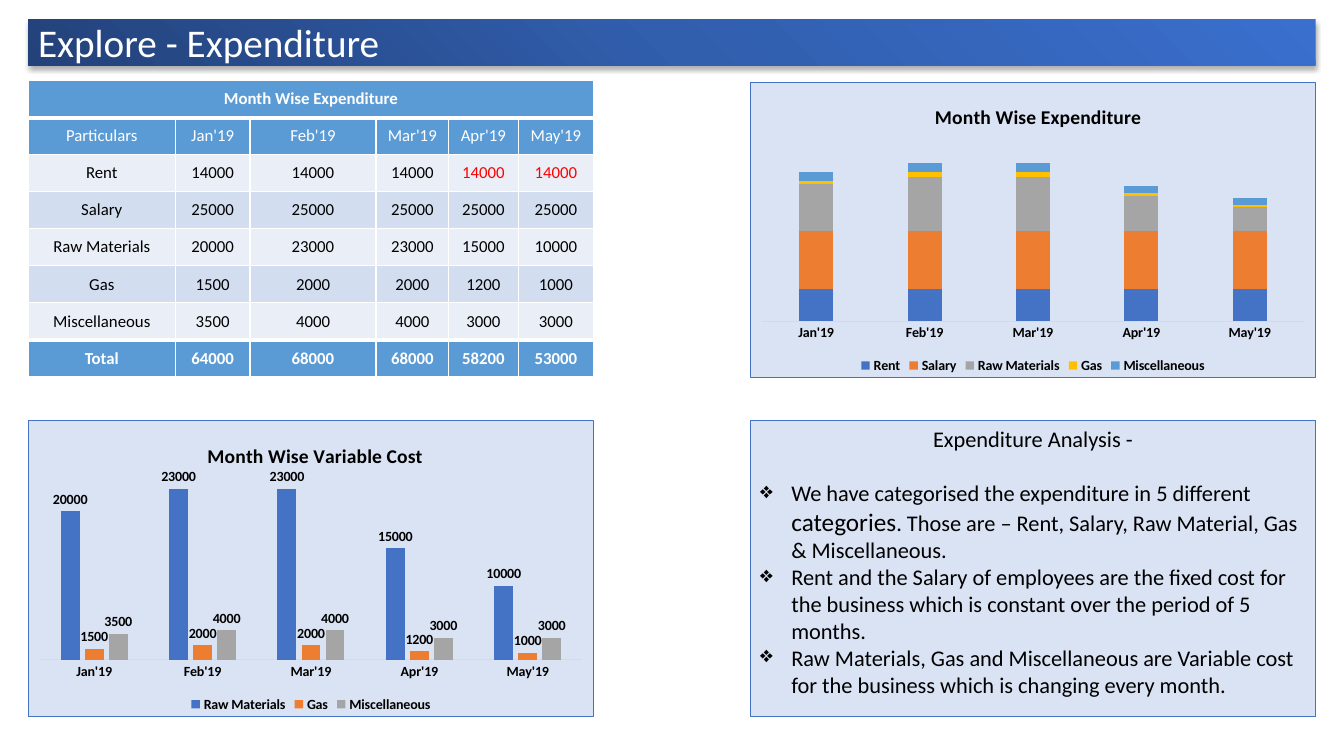
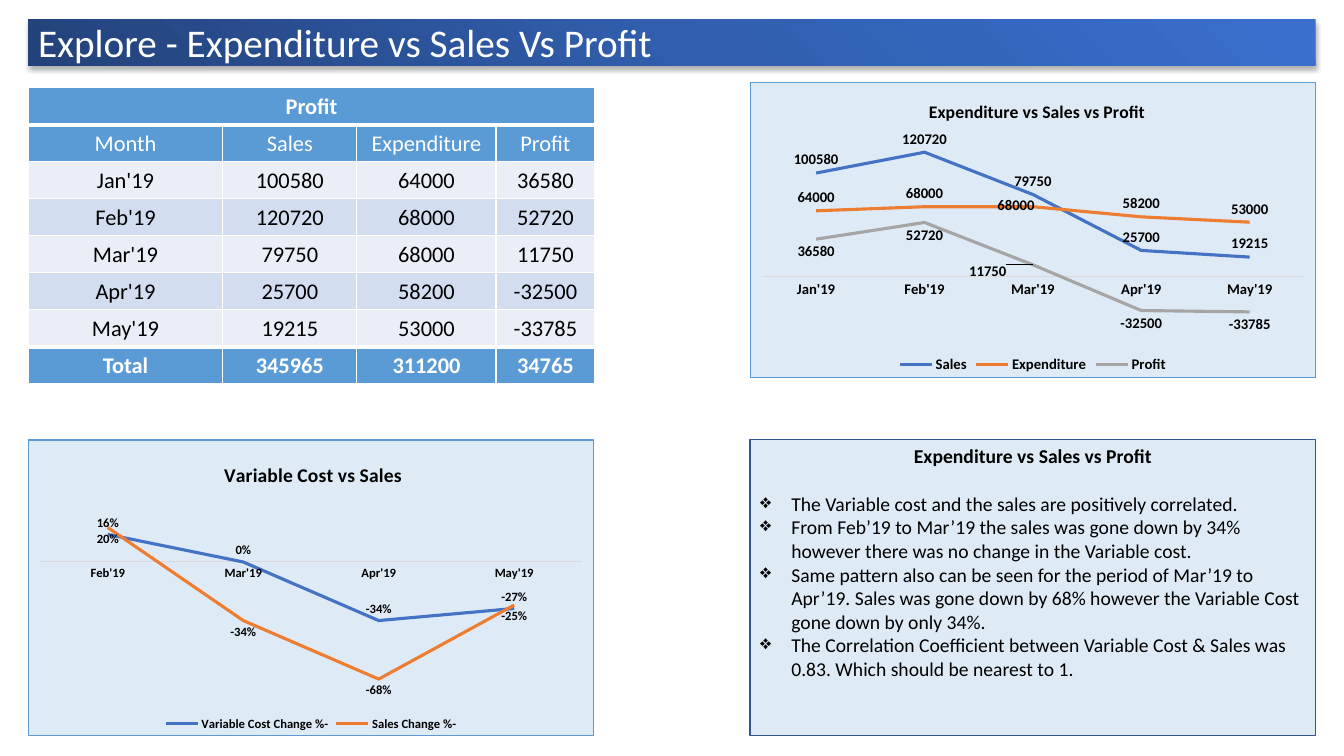
"""Build two slides that explore expenditure, sales and profit."""
from dataclasses import dataclass

from pptx import Presentation
from pptx.chart.data import CategoryChartData
from pptx.dml.color import RGBColor
from pptx.enum.chart import (XL_CHART_TYPE, XL_LABEL_POSITION,
                             XL_LEGEND_POSITION, XL_MARKER_STYLE, XL_TICK_MARK)
from pptx.enum.shapes import MSO_SHAPE
from pptx.enum.text import MSO_ANCHOR, PP_ALIGN
from pptx.oxml import parse_xml
from pptx.oxml.ns import nsdecls
from pptx.util import Inches, Pt

STACK, GROUP, LINE = (XL_CHART_TYPE.COLUMN_STACKED,
                      XL_CHART_TYPE.COLUMN_CLUSTERED, XL_CHART_TYPE.LINE)
TOP, LOW, OUT = (XL_LABEL_POSITION.ABOVE, XL_LABEL_POSITION.BELOW,
                 XL_LABEL_POSITION.OUTSIDE_END)
BOTTOM, PLAIN, BARE = (XL_LEGEND_POSITION.BOTTOM, XL_MARKER_STYLE.NONE,
                       XL_TICK_MARK.NONE)
RECT, MIDDLE, UPPER = MSO_SHAPE.RECTANGLE, MSO_ANCHOR.MIDDLE, MSO_ANCHOR.TOP
LEFT, CENTER = PP_ALIGN.LEFT, PP_ALIGN.CENTER


@dataclass(frozen=True)
class Theme:
    font: str = "Calibri"
    white: str = "FFFFFF"
    black: str = "000000"
    red: str = "FF0000"
    head: str = "5B9BD5"
    bands: tuple = ("EAEFF7", "D2DEEF")
    lines: tuple = ("4472C4", "ED7D31", "A5A5A5", "FFC000", "5B9BD5")
    axis: str = "D9D9D9"
    fade: tuple = ((0, "23427A"), (50, "315EAD"), (100, "3A6FCE"))
    title: int = 28
    wide: float = 5.61
    high: float = 2.94
    near: float = 0.28
    far: float = 7.44


T = Theme()


def ink(font, size, color=T.black, bold=False):
    font.name, font.size, font.bold = T.font, Pt(size), bold
    font.color.rgb = RGBColor.from_string(color)


def place(host, at, x, y, size=None):
    for old in host.findall("{*}layout"):
        host.remove(old)
    tags = [("x", x), ("y", y)]
    modes = ""
    if size:
        tags += zip("wh", size)
        modes = '<c:layoutTarget val="inner"/>'
    if host.tag.endswith(("plotArea", "title")):
        modes += '<c:xMode val="edge"/><c:yMode val="edge"/>'
    spots = "".join(f'<c:{k} val="{v}"/>' for k, v in tags)
    host.insert(at, parse_xml(f'<c:layout {nsdecls("c")}><c:manualLayout>{modes}'
                              f'{spots}</c:manualLayout></c:layout>'))


months = ["Jan'19", "Feb'19", "Mar'19", "Apr'19", "May'19"]
costs = {
    "Rent": [14000] * 5,
    "Salary": [25000] * 5,
    "Raw Materials": [20000, 23000, 23000, 15000, 10000],
    "Gas": [1500, 2000, 2000, 1200, 1000],
    "Miscellaneous": [3500, 4000, 4000, 3000, 3000],
}
spent = [sum(col) for col in zip(*costs.values())]
sales = [100580, 120720, 79750, 25700, 19215]
gains = {"Sales": sales, "Expenditure": spent,
         "Profit": [s - e for s, e in zip(sales, spent)]}
moves = {"Variable Cost Change %-": [0.16, 0, -0.34, -0.27],
         "Sales Change %-": [0.2, -0.34, -0.68, -0.25]}

pages = [
    dict(
        title="Explore - Expenditure", fill="DAE3F3", edge="4472C4",
        table=dict(
            top=0.8, size=12, pad=0, cols=[1.46, 0.74, 1.25, 0.72, 0.69, 0.75],
            red=[(2, 4), (2, 5)],
            rows=[["Month Wise Expenditure"], ["Particulars", *months],
                  *[[name, *vals] for name, vals in costs.items()],
                  ["Total", *spent]]),
        charts=[
            dict(kind=STACK, at=(T.far, 0.81), title="Month Wise Expenditure",
                 cats=months, data=costs, size=10, small=10, big=14,
                 spot=(0.32, 0.06), plot=(0.18, 0.63), span=(0, 80000),
                 lap=100, tags=[]),
            dict(kind=GROUP, at=(T.near, 4.17), title="Month Wise Variable Cost",
                 cats=months, data=dict(list(costs.items())[2:]), size=10,
                 small=10, big=14, spot=(0.31, 0.06), plot=(0.18, 0.63),
                 span=(0, 25000), lap=-27, tags=[OUT] * 3)],
        note=dict(
            top=4.17, size=16, bold=False, edge="4472C4", width=0.5,
            head="Expenditure Analysis -",
            items=["We have categorised the expenditure in 5 different |categories|"
                   ". Those are – Rent, Salary, Raw Material, Gas & Miscellaneous.",
                   "Rent and the Salary of employees are the fixed cost for the "
                   "business which is constant over the period of 5 months.",
                   "Raw Materials, Gas and Miscellaneous are Variable cost for the "
                   "business which is changing every month."])),
    dict(
        title="Explore - Expenditure vs Sales Vs Profit", fill="DEEBF7",
        edge="5B9BD5",
        table=dict(
            top=0.87, size=16, pad=0.01, cols=[1.93, 1.33, 1.38, 0.98], red=[],
            rows=[["Profit"], ["Month", *gains], *zip(months, *gains.values()),
                  ["Total", *map(sum, gains.values())]]),
        charts=[
            dict(kind=LINE, at=(T.far, 0.81), title="Expenditure vs Sales vs Profit",
                 cats=months, data=gains, size=10.5, small=10.5, big=12.6,
                 spot=(0.31, 0.05), plot=(0.135, 0.7), span=(-50000, 150000),
                 tags=[TOP, TOP, LOW],
                 shift={1: (2, -0.03, 0.04), 2: (2, -0.08, -0.02)}),
            dict(kind=LINE, at=(T.near, 4.36), title="Variable Cost vs Sales",
                 cats=months[1:], data=moves, size=10, small=9, big=14,
                 spot=(0.34, 0.06), plot=(0.18, 0.7), span=(-0.8, 0.4),
                 tags=[TOP, LOW], form="0%")],
        note=dict(
            top=4.36, size=14, bold=True, edge="325491", width=1,
            head="Expenditure vs Sales vs Profit",
            items=["The Variable cost and the sales are positively correlated.",
                   "From Feb’19 to Mar’19 the sales was gone down by 34% however "
                   "there was no change in the Variable cost.",
                   "Same pattern also can be seen for the period of Mar’19 to "
                   "Apr’19. Sales was gone down by 68% however the Variable Cost "
                   "gone down by only 34%.",
                   "The Correlation Coefficient between Variable Cost & Sales was "
                   "0.83. Which should be nearest to 1."])),
]

deck = Presentation()
deck.slide_width, deck.slide_height = Inches(13.33), Inches(7.5)

for page in pages:
    slide = deck.slides.add_slide(deck.slide_layouts[6])
    shapes = slide.shapes

    band = shapes.add_shape(RECT, Inches(T.near), Inches(0.19),
                            Inches(12.77), Inches(0.46))
    band.shadow.inherit = False
    band.line.fill.background()
    stops = "".join(f'<a:gs pos="{pos * 1000}"><a:srgbClr val="{color}"/></a:gs>'
                    for pos, color in T.fade)
    props = band.element.spPr
    props.find("{*}prstGeom").addnext(parse_xml(
        f'<a:gradFill {nsdecls("a")}><a:gsLst>{stops}</a:gsLst><a:path path="circle">'
        '<a:fillToRect t="100000" r="100000"/></a:path></a:gradFill>'))
    props.find("{*}effectLst").append(parse_xml(
        f'<a:outerShdw {nsdecls("a")} blurRad="{Pt(3.5)}" dist="{Pt(2.2)}" '
        'dir="5400000" rotWithShape="0"><a:srgbClr val="000000">'
        '<a:alpha val="32000"/></a:srgbClr></a:outerShdw>'))
    frame = band.text_frame
    frame.text = page["title"]
    frame.vertical_anchor = MIDDLE
    frame.paragraphs[0].alignment = LEFT
    ink(frame.paragraphs[0].runs[0].font, T.title, T.white)

    spec = page["table"]
    rows, cols = spec["rows"], spec["cols"]
    last = len(rows) - 1
    grid = shapes.add_table(len(rows), len(cols), Inches(T.near),
                            Inches(spec["top"]), Inches(T.wide),
                            Inches(T.high)).table
    for col, width in zip(grid.columns, cols):
        col.width = Inches(width)
    grid.cell(0, 0).merge(grid.cell(0, len(cols) - 1))
    for r, row in enumerate(rows):
        strong = r in (0, last)
        dark = strong or r == 1
        for c in range(len(cols)):
            cell = grid.cell(r, c)
            edges = dict(L=1, R=1, T=3 if r in (1, last) else 1,
                         B=3 if r in (0, last - 1) else 1)
            for side, width in edges.items():
                cell._tc.get_or_add_tcPr().append(parse_xml(
                    f'<a:ln{side} {nsdecls("a")} w="{Pt(width)}"><a:solidFill>'
                    f'<a:srgbClr val="{T.white}"/></a:solidFill></a:ln{side}>'))
            cell.fill.solid()
            cell.fill.fore_color.rgb = RGBColor.from_string(
                T.head if dark else T.bands[r % 2])
            cell.vertical_anchor = MIDDLE
            cell.margin_left = cell.margin_right = Inches(spec["pad"])
            cell.margin_top, cell.margin_bottom = Inches(spec["pad"]), 0
            if c < len(row):
                para = cell.text_frame.paragraphs[0]
                para.text = str(row[c])
                para.alignment = CENTER
                color = T.red if (r, c) in spec["red"] else T.black
                ink(para.runs[0].font, spec["size"],
                    T.white if dark else color, strong)

    for spec in page["charts"]:
        form = spec.get("form", "General")
        data = CategoryChartData(number_format=form)
        data.categories = spec["cats"]
        for name, vals in spec["data"].items():
            data.add_series(name, vals)
        left, top = spec["at"]
        chart = shapes.add_chart(spec["kind"], Inches(left), Inches(top),
                                 Inches(T.wide), Inches(T.high), data).chart
        ink(chart.font, spec["size"], bold=True)
        chart.element.find("{*}chart").addnext(parse_xml(
            f'<c:spPr {nsdecls("c", "a")}><a:solidFill><a:srgbClr val="{page["fill"]}"/>'
            f'</a:solidFill><a:ln w="{Pt(0.75)}"><a:solidFill><a:srgbClr '
            f'val="{page["edge"]}"/></a:solidFill></a:ln></c:spPr>'))
        chart.has_title = True
        para = chart.chart_title.text_frame.paragraphs[0]
        para.text = spec["title"]
        ink(para.runs[0].font, spec["big"], bold=True)
        place(chart.element.xpath("//c:title")[0], 1, *spec["spot"])
        base, tall = spec["plot"]
        place(chart.element.xpath("//c:plotArea")[0], 0, 0.02, base, (0.96, tall))
        chart.has_legend = True
        chart.legend.position = BOTTOM
        chart.legend.include_in_layout = False
        ink(chart.legend.font, spec["small"], bold=True)
        axis = chart.category_axis
        axis.major_tick_mark = axis.minor_tick_mark = BARE
        axis.format.line.color.rgb = RGBColor.from_string(T.axis)
        axis.format.line.width = Pt(0.75)
        ink(axis.tick_labels.font, spec["small"], bold=True)
        scale = chart.value_axis
        scale.minimum_scale, scale.maximum_scale = spec["span"]
        scale.has_major_gridlines = scale.visible = False
        plot = chart.plots[0]
        plot.vary_by_categories = False
        if "lap" in spec:
            plot.gap_width, plot.overlap = 219, spec["lap"]
        for i, line in enumerate(plot.series):
            color = RGBColor.from_string(T.lines[i])
            if spec["kind"] == LINE:
                line.smooth = False
                line.marker.style = PLAIN
                line.format.line.color.rgb = color
                line.format.line.width = Pt(2.25)
            else:
                line.format.fill.solid()
                line.format.fill.fore_color.rgb = color
            if spec["tags"]:
                tags = line.data_labels
                tags.show_value = True
                tags.position = spec["tags"][i]
                tags.number_format, tags.number_format_is_linked = form, False
                ink(tags.font, spec["small"], bold=True)
            if i in spec.get("shift", {}):
                point, x, y = spec["shift"][i]
                tag = line.points[point].data_label
                ink(tag.font, spec["small"], bold=True)
                tag.position = spec["tags"][i]
                place(chart.element.xpath("//c:dLbl")[-1], 1, x, y)

    spec = page["note"]
    size = spec["size"]
    box = shapes.add_shape(RECT, Inches(T.far), Inches(spec["top"]),
                           Inches(T.wide), Inches(T.high))
    box.shadow.inherit = False
    box.fill.solid()
    box.fill.fore_color.rgb = RGBColor.from_string(page["fill"])
    box.line.color.rgb = RGBColor.from_string(spec["edge"])
    box.line.width = Pt(spec["width"])
    frame = box.text_frame
    frame.word_wrap = True
    frame.vertical_anchor = UPPER
    frame.text = spec["head"]
    head = frame.paragraphs[0]
    head.alignment = CENTER
    head.space_after = Pt(size * 1.22)
    ink(head.runs[0].font, size, bold=spec["bold"])
    for item in spec["items"]:
        para = frame.add_paragraph()
        para.alignment = LEFT
        for i, part in enumerate(item.split("|")):
            run = para.add_run()
            run.text = part
            ink(run.font, size + 2 * (i % 2))
        props = para._p.get_or_add_pPr()
        props.set("marL", str(Inches(0.31)))
        props.set("indent", str(-Inches(0.31)))
        props.append(parse_xml(f'<a:buChar {nsdecls("a")} char="❖"/>'))

deck.save("out.pptx")
